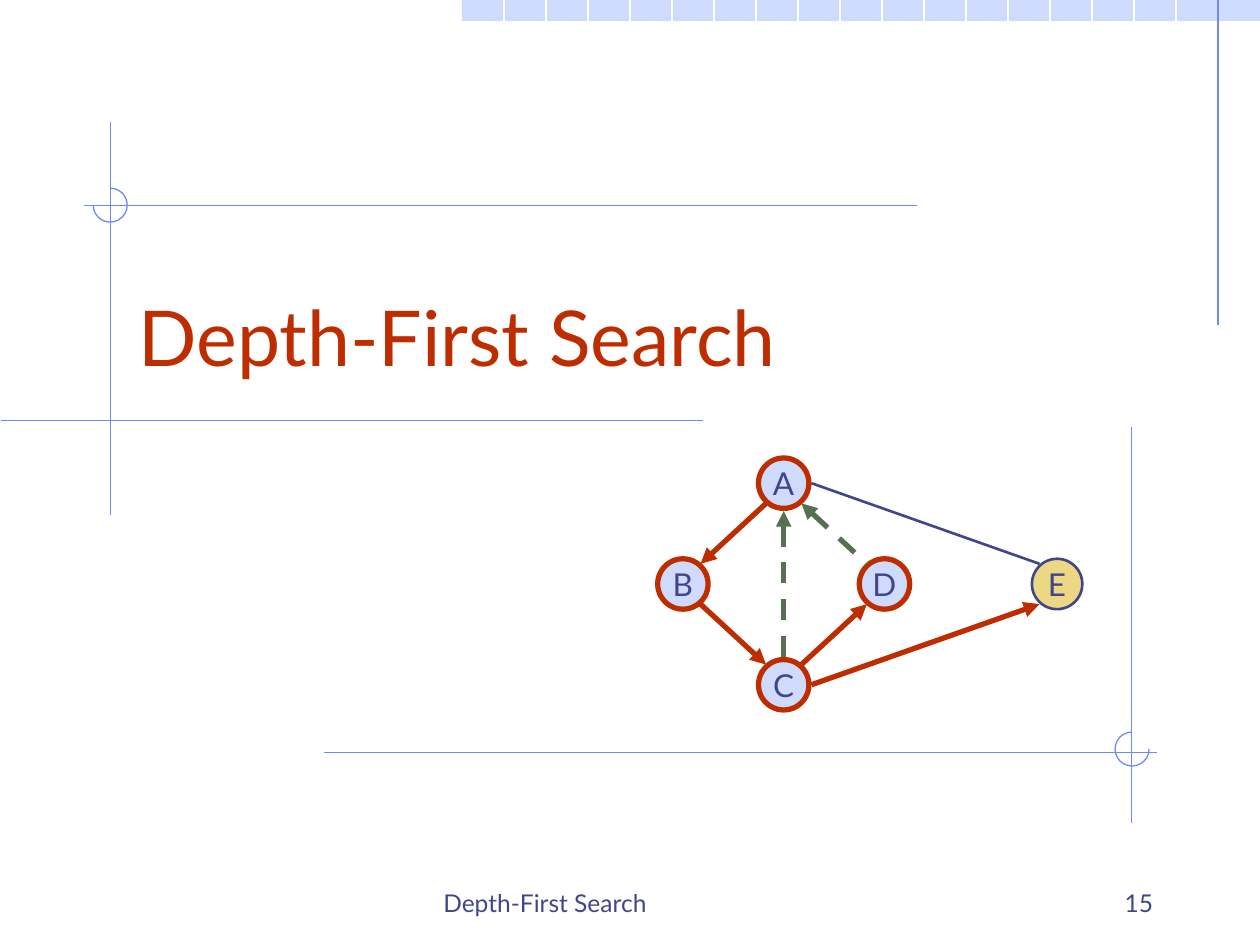
import pptx
import pptx.util
import pptx.dml.color
import pptx.enum.dml
import pptx.enum.shapes
import pptx.enum.text
import pptx.oxml
import pptx.oxml.ns

RGBColor = pptx.dml.color.RGBColor
SHAPE = pptx.enum.shapes.MSO_SHAPE
ANCHOR = pptx.enum.text.MSO_ANCHOR
ALIGN = pptx.enum.text.PP_ALIGN

WHITE = RGBColor(0xFF, 0xFF, 0xFF)
PALE = RGBColor(0xCF, 0xDB, 0xFD)
RULE = RGBColor(0x6F, 0x89, 0xF7)
NAVY = RGBColor(0x40, 0x45, 0x8C)
RED = RGBColor(0xBE, 0x2D, 0x00)
GREEN = RGBColor(0x57, 0x70, 0x52)
GOLD = RGBColor(0xEC, 0xD8, 0x82)

prs = pptx.Presentation()
prs.slide_width = pptx.util.Inches(10)
prs.slide_height = pptx.util.Inches(7.5)
s = prs.slides.add_slide(prs.slide_layouts[6])
CELL = prs.slide_width / 100


def add_line(x1, y1, x2, y2, color, width=0.75, dash=False, arrow=None):
    ends = [round(v * CELL) for v in (x1, y1, x2, y2)]
    cx = s.shapes.add_connector(pptx.enum.shapes.MSO_CONNECTOR.STRAIGHT, *ends)
    cx.line.color.rgb = color
    cx.line.width = pptx.util.Pt(width)
    if dash:
        cx.line.dash_style = pptx.enum.dml.MSO_LINE.DASH
    if arrow:
        end = pptx.oxml.parse_xml(
            f'<a:{arrow} {pptx.oxml.ns.nsdecls("a")} type="triangle"/>')
        cx.line._get_or_add_ln().append(end)
    spPr = cx._element.spPr
    spPr.append(pptx.oxml.parse_xml(f'<a:effectLst {pptx.oxml.ns.nsdecls("a")}/>'))


def set_text(sp, text, size, color, align, anchor, wrap=True):
    tf = sp.text_frame
    tf.text = text
    tf.word_wrap = wrap
    tf.vertical_anchor = anchor
    p = tf.paragraphs[0]
    p.alignment = align
    r = p.runs[0]
    r.font.name = "Lato"
    r.font.size = pptx.util.Pt(size)
    r.font.color.rgb = color


band_left, band_height, step = 110 / 3, 5 / 3, 10 / 3
sp = s.shapes.add_shape(SHAPE.RECTANGLE, round(band_left * CELL), 0,
                        round((100 - band_left) * CELL), round(band_height * CELL))
sp.shadow.inherit = False
sp.fill.solid()
sp.fill.fore_color.rgb = PALE
sp.line.fill.background()
for i in range(12, 29):
    add_line(i * step, 0, i * step, 75, WHITE)

for ends in [(96.67, 0, 96.67, 25.8), (8.77, 9.7, 8.77, 40.9), (55.8, 33.4, 0.1, 33.4),
             (72.8, 16.3, 6.7, 16.3), (25.7, 59.75, 91.8, 59.75), (89.8, 33.9, 89.8, 65.3)]:
    add_line(*ends, RULE)

for x, y, start, stop in [(7.4, 14.93, 162, 108), (88.5, 58.1, 0, 162)]:
    sp = s.shapes.add_shape(SHAPE.ARC, *[round(v * CELL) for v in (x, y, 2.7, 2.7)])
    sp.shadow.inherit = False
    sp.adjustments[0] = start
    sp.adjustments[1] = stop
    sp.fill.background()
    sp.line.color.rgb = RULE
    sp.line.width = pptx.util.Pt(0.75)

for text, box, size, color, align in [
        ("Depth-First Search", (34.2, 68.3, 31.7, 5), 14, NAVY, ALIGN.LEFT),
        ("15", (71.7, 68.3, 20.8, 5), 14, NAVY, ALIGN.RIGHT),
        ("Depth-First Search", (10, 18.3, 85, 12.5), 44, RED, ALIGN.LEFT)]:
    sp = s.shapes.add_textbox(*[round(v * CELL) for v in box])
    set_text(sp, text, size, color, align, ANCHOR.BOTTOM)

centers = {"A": (62.2, 38.35), "B": (54.2, 46.35), "C": (62.2, 54.35),
           "D": (70.2, 46.35), "E": (83.9, 46.35)}
for name, (x, y) in centers.items():
    sp = s.shapes.add_shape(SHAPE.OVAL, *[round(v * CELL) for v in (x - 2, y - 2, 4, 4)])
    sp.shadow.inherit = False
    sp.fill.solid()
    sp.fill.fore_color.rgb = GOLD if name == "E" else PALE
    sp.line.color.rgb = NAVY if name == "E" else RED
    sp.line.width = pptx.util.Pt(1.5 if name == "E" else 3)
    set_text(sp, name, 18, NAVY, ALIGN.CENTER, ANCHOR.MIDDLE, wrap=False)

ports = {"N": (0, -2.2), "S": (0, 2.2), "E": (2.2, 0), "NE": (1.4, -1.6),
         "NW": (-1.4, -1.6), "SE": (1.4, 1.6), "SW": (-1.4, 1.6)}
for a, port_a, b, port_b, color, width, dash, arrow in [
        ("A", "SW", "B", "NE", RED, 3, False, "tailEnd"),
        ("B", "SE", "C", "NW", RED, 3, False, "tailEnd"),
        ("C", "NE", "D", "SW", RED, 3, False, "tailEnd"),
        ("A", "SE", "D", "NW", GREEN, 3, True, "headEnd"),
        ("A", "S", "C", "N", GREEN, 3, True, "headEnd"),
        ("C", "E", "E", "SW", RED, 3, False, "tailEnd"),
        ("E", "NW", "A", "E", NAVY, 1.5, False, None)]:
    x1, y1 = [c + d for c, d in zip(centers[a], ports[port_a])]
    x2, y2 = [c + d for c, d in zip(centers[b], ports[port_b])]
    add_line(x1, y1, x2, y2, color, width, dash, arrow)

prs.save("out.pptx")
